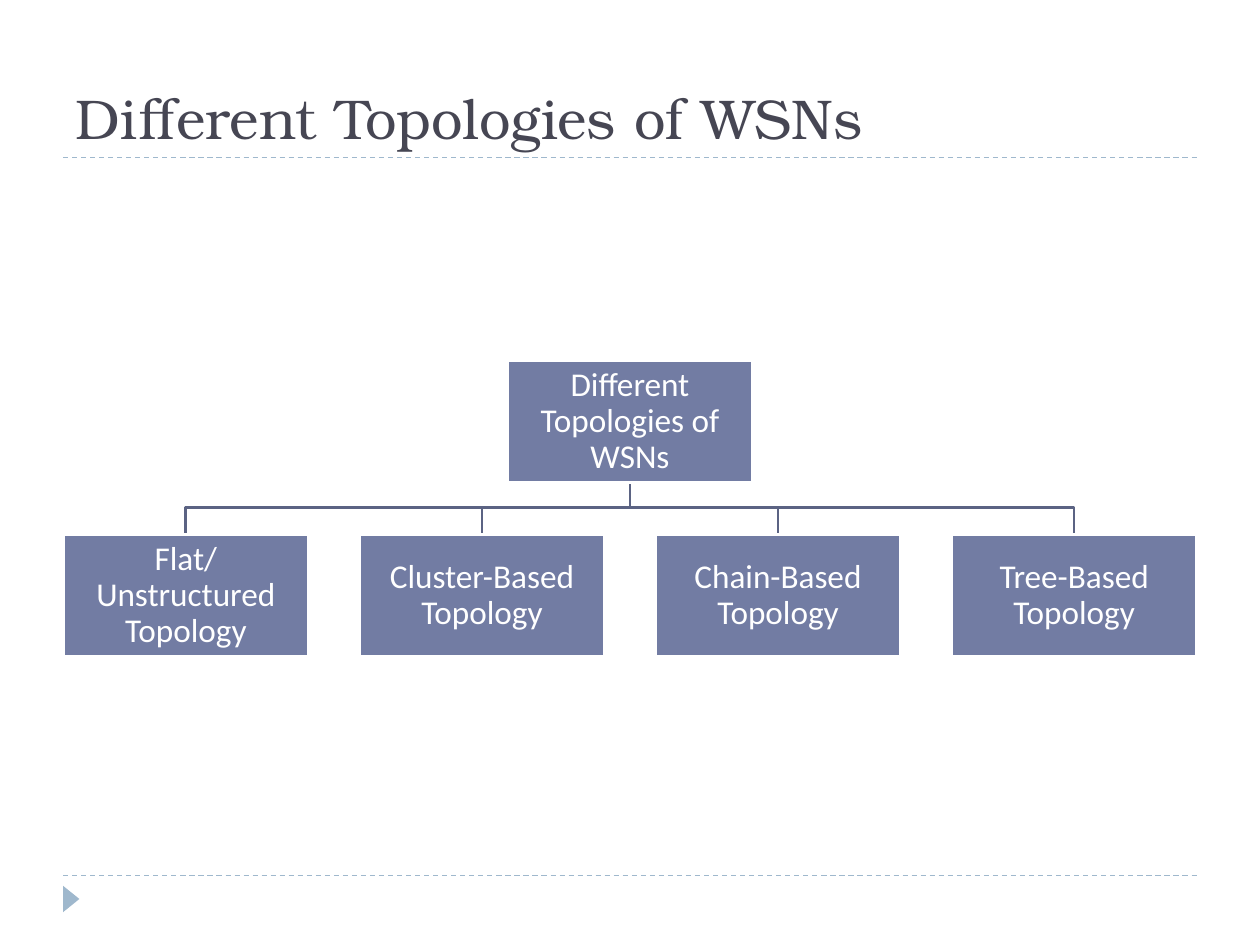
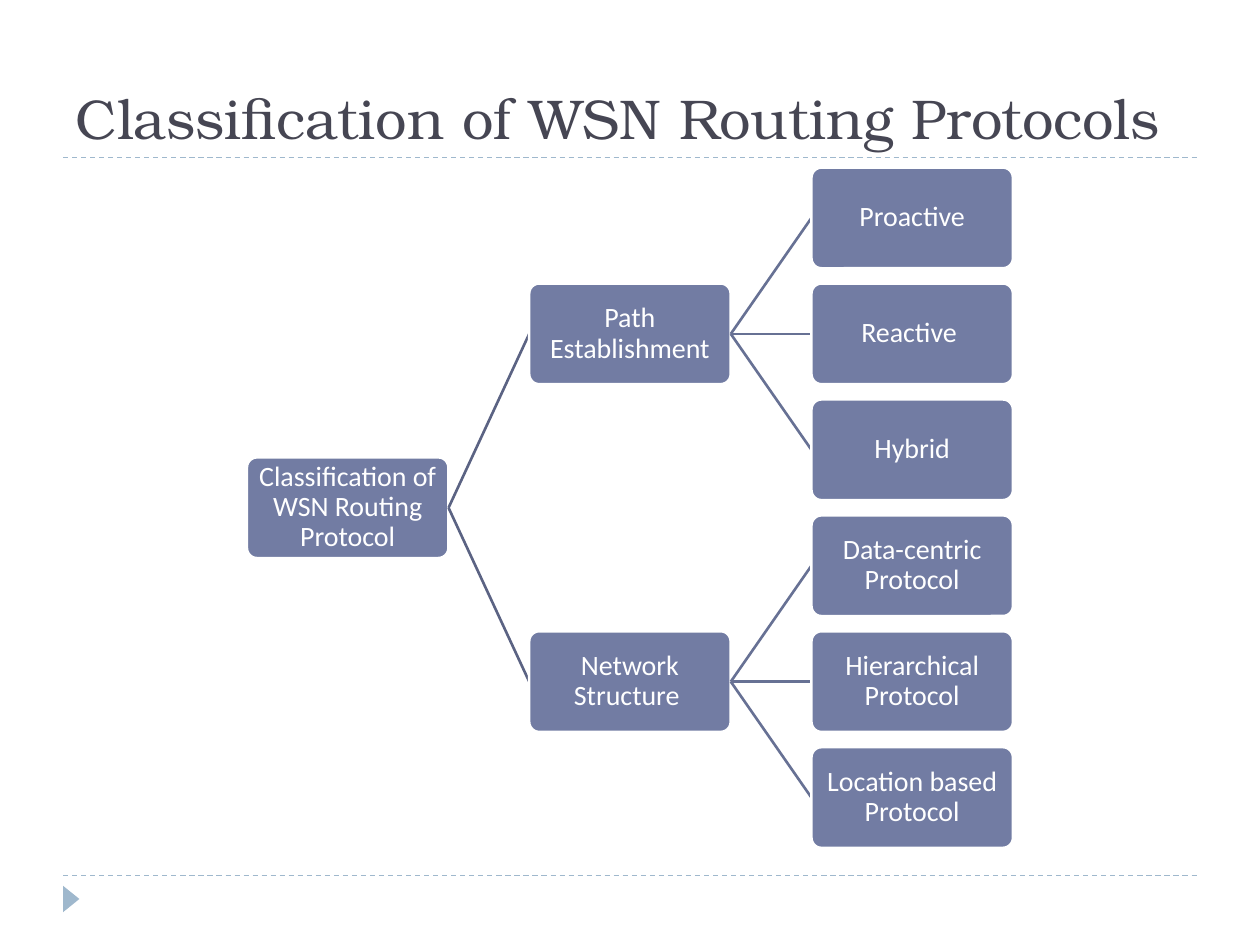
from lxml.etree import SubElement
from pptx import Presentation
from pptx.dml.color import RGBColor as RGB
from pptx.enum.dml import MSO_LINE as Dash
from pptx.enum.shapes import MSO_CONNECTOR as Link, MSO_SHAPE as Shape
from pptx.enum.text import MSO_ANCHOR as Anchor, MSO_AUTO_SIZE as Auto, PP_ALIGN as Align
from pptx.oxml.ns import qn
from pptx.util import Inches, Pt

HUES = {name: RGB.from_string(code) for name, code in {
    "title": "464653", "rule": "9FB8CD", "box": "727CA3", "white": "FFFFFF",
    "stem": "5B6383", "twig": "677194"}.items()}
HEAD, BODY = "TeX Gyre Bonum", "Calibri"


def write(frame, text, size=16, font=BODY, hue="white", align=Align.CENTER,
          anchor=Anchor.MIDDLE, inset=0.03, space=0.9):
    frame.word_wrap = True
    frame.auto_size = Auto.NONE
    frame.vertical_anchor = anchor
    if inset is not None:
        frame.margin_left = frame.margin_right = Inches(inset)
        frame.margin_top = frame.margin_bottom = Inches(0.01)
    para = frame.paragraphs[0]
    para.alignment, para.line_spacing = align, space
    run = para.add_run()
    run.text = text
    run.font.size, run.font.name = Pt(size), font
    run.font.color.rgb = HUES[hue]


def add_box(slide, kind, x, y, w, h, text, size):
    box = slide.shapes.add_shape(kind, Inches(x), Inches(y), Inches(w), Inches(h))
    box.shadow.inherit = False
    box.fill.solid()
    box.fill.fore_color.rgb = HUES["box"]
    box.line.color.rgb = HUES["white"]
    box.line.width = Pt(1.5)
    write(box.text_frame, text, size=size)
    return box


deck = Presentation()
deck.slide_width, deck.slide_height = Inches(10), Inches(7.5)

# Shared frame: title, dashed rules, corner marker
slides = []
for text in ("Different Topologies of WSNs", "Classification of WSN Routing Protocols"):
    slide = deck.slides.add_slide(deck.slide_layouts[5])
    slides.append(slide)
    for y in (6.95, 1.25):
        rule = slide.shapes.add_connector(
            Link.STRAIGHT, Inches(0.5), Inches(y), Inches(9.5), Inches(y))
        SubElement(rule._element.spPr, qn("a:effectLst"))
        rule.line.color.rgb = HUES["rule"]
        rule.line.width = Pt(0.75)
        rule.line.dash_style = Dash.DASH
    mark = slide.shapes.add_shape(
        Shape.ISOSCELES_TRIANGLE, Inches(0.46), Inches(7.07), Inches(0.21), Inches(0.13))
    mark.rotation = 90
    mark.shadow.inherit = False
    mark.fill.solid()
    mark.fill.fore_color.rgb = HUES["rule"]
    mark.line.fill.background()
    title = slide.shapes.title
    title.left, title.top = Inches(0.5), Inches(0.17)
    title.width, title.height = Inches(9), Inches(1.08)
    write(title.text_frame, text, size=32, font=HEAD, hue="title",
          align=Align.LEFT, anchor=Anchor.BOTTOM, inset=None, space=1)

# Slide 1: root above four kinds, joined by bent lines
slide = slides[0]
mid, wide, high, step = 5, 1.94, 0.97, 2.35
root_y, leaf_y = 2.86, 4.24
kinds = ["Flat/Unstructured Topology", "Cluster-Based Topology",
         "Chain-Based Topology", "Tree-Based Topology"]
spots = [mid + step * (i - 1.5) for i in range(len(kinds))]
for x in spots:
    low, bend = root_y + high, 4.03
    pen = slide.shapes.build_freeform(Inches(mid), Inches(low))
    pen.add_line_segments([(Inches(a), Inches(b)) for a, b in
                           ((mid, bend), (x, bend), (x, leaf_y))], close=False)
    bent = pen.convert_to_shape()
    bent.shadow.inherit = False
    bent.fill.background()
    bent.line.color.rgb = HUES["stem"]
    bent.line.width = Pt(1.5)
nodes = [(mid, root_y, "Different Topologies of WSNs")]
nodes += [(x, leaf_y, kind) for x, kind in zip(spots, kinds)]
for x, y, text in nodes:
    add_box(slide, Shape.RECTANGLE, x - wide / 2, y, wide, high, text, 19)

# Slide 2: tree from left to right as (text, column, row, parent)
slide = slides[1]
tree = [("Classification of WSN Routing Protocol", 0, 2.5, None),
        ("Path Establishment", 1, 1, 0),
        ("Proactive", 2, 0, 1),
        ("Reactive ", 2, 1, 1),
        ("Hybrid", 2, 2, 1),
        ("Network Structure ", 1, 4, 0),
        ("Data-centric Protocol", 2, 3, 5),
        ("Hierarchical Protocol", 2, 4, 5),
        ("Location based Protocol", 2, 5, 5)]
boxes = []
for text, col, row, stem in tree:
    box = add_box(slide, Shape.ROUNDED_RECTANGLE, 1.96 + 2.24 * col,
                  3.63 + 0.92 * (row - 2.5), 1.6, 0.8, text, 16)
    box.adjustments[0] = 0.1
    boxes.append(box)
    if stem is not None:
        line = slide.shapes.add_connector(Link.STRAIGHT, 0, 0, 0, 0)
        line.begin_connect(boxes[stem], 3)
        line.end_connect(box, 1)
        SubElement(line._element.spPr, qn("a:effectLst"))
        line.line.color.rgb = HUES["stem" if col == 1 else "twig"]
        line.line.width = Pt(1.5)
        # Keep the child box in front of its line
        line._element.addnext(box._element)

deck.save("out.pptx")
